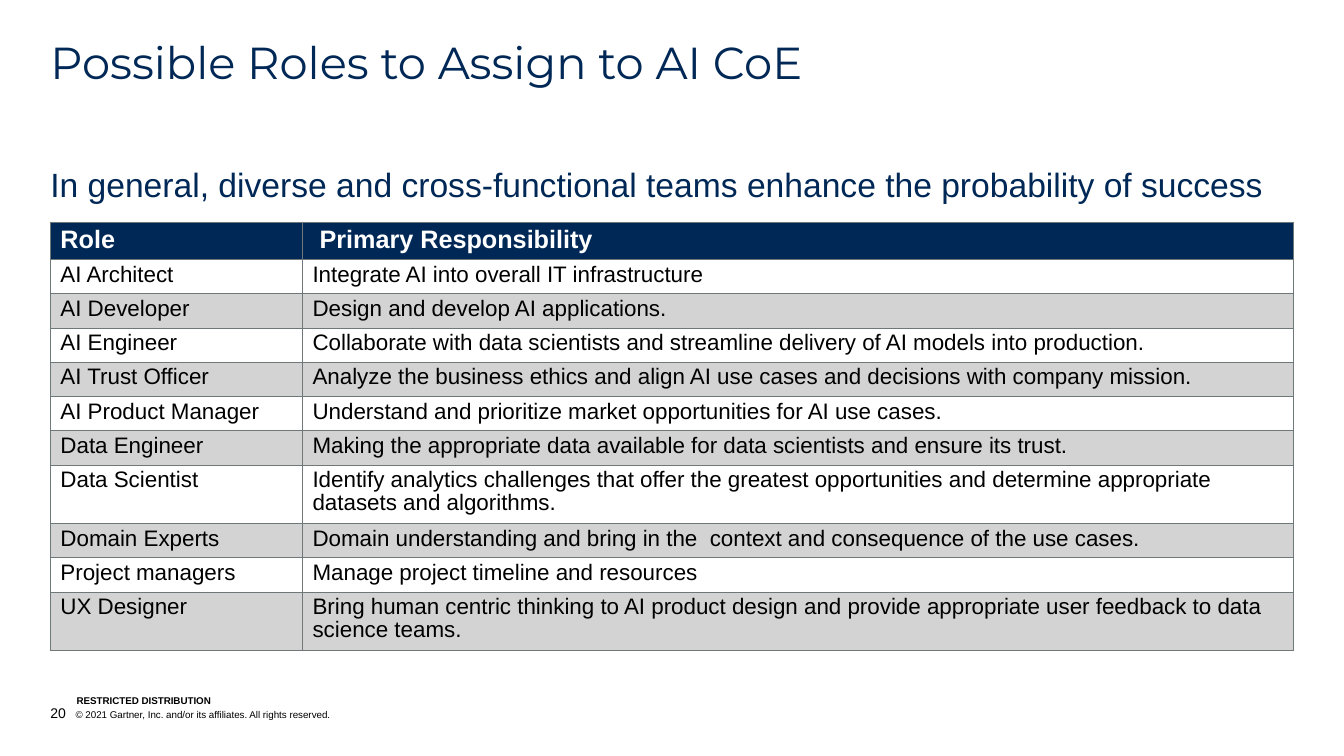
from lxml import etree
from pptx import Presentation
from pptx import util as u
from pptx.dml.color import RGBColor
from pptx.enum import text
from pptx.oxml import ns

NAVY, BLACK, WHITE, GREY, RULE = "002856", "000000", "FFFFFF", "D3D3D3", "6F7878"
LEFT, WIDTH = 0.5, 12.33


def rgb(value):
    return RGBColor.from_string(value)


def write(tf, words, size, color=BLACK, font="Arial", bold=False, spacing=None,
          anchor=text.MSO_ANCHOR.TOP, margins=(0, 0, 0, 0)):
    """Append a formatted run to the first paragraph of a text frame."""
    tf.word_wrap = True
    tf.vertical_anchor = anchor
    tf.margin_left, tf.margin_top, tf.margin_right, tf.margin_bottom = map(u.Inches, margins)
    p = tf.paragraphs[0]
    p.alignment = text.PP_ALIGN.LEFT
    p.line_spacing = spacing
    r = p.add_run()
    r.text = words
    r.font.size, r.font.name, r.font.bold = u.Pt(size), font, bold
    r.font.color.rgb = rgb(color)
    return p


prs = Presentation()
prs.slide_width, prs.slide_height = u.Inches(13.33), u.Inches(7.5)
s = prs.slides.add_slide(prs.slide_layouts[5])

# Title
title = s.shapes.title
title.left, title.top, title.width, title.height = map(u.Inches, (LEFT, 0.4, WIDTH, 0.49))
title.text_frame.auto_size = text.MSO_AUTO_SIZE.NONE
write(title.text_frame, "Possible Roles to Assign to AI CoE", 32, NAVY, "Montserrat", spacing=0.9)

# Lead sentence
lead = s.shapes.add_textbox(*map(u.Inches, (LEFT, 1.67, WIDTH, 0.45)))
write(lead.text_frame,
      "In general, diverse and cross-functional teams enhance the probability of success",
      24, NAVY, spacing=0.9)

# Roles table
roles = [
    ("Role", "Primary Responsibility"),
    ("AI Architect", "Integrate AI into overall IT infrastructure"),
    ("AI Developer", "Design and develop AI applications."),
    ("AI Engineer", "Collaborate with data scientists and streamline delivery of AI models "
                    "into production."),
    ("AI Trust Officer", "Analyze the business ethics and align AI use cases and decisions "
                         "with company mission."),
    ("AI Product Manager", "Understand and prioritize market opportunities for AI use cases."),
    ("Data Engineer", "Making the appropriate data available for data scientists and ensure "
                      "its trust."),
    ("Data Scientist", "Identify analytics challenges that offer the greatest opportunities "
                       "and determine appropriate datasets and algorithms."),
    ("Domain Experts", "Domain understanding and bring in the  context and consequence of "
                       "the use cases."),
    ("Project managers", "Manage project timeline and resources"),
    ("UX Designer", "Bring human centric thinking to AI product design and provide "
                    "appropriate user feedback to data science teams."),
]
HEADER_H, LINE_H, TWO_LINE_H = 0.35, 0.32, 0.54
frame = s.shapes.add_table(len(roles), 2, *map(u.Inches, (LEFT, 2.2, WIDTH, 4)))
table = frame.table
table.columns[0].width, table.columns[1].width = u.Inches(2.5), u.Inches(9.83)

for i, row in enumerate(roles):
    header = i == 0
    height = HEADER_H if header else TWO_LINE_H if len(row[1]) > 100 else LINE_H
    table.rows[i].height = u.Inches(height)
    for j, words in enumerate(row):
        cell = table.cell(i, j)
        cell.fill.solid()
        cell.fill.fore_color.rgb = rgb(NAVY if header else WHITE if i % 2 else GREY)
        write(cell.text_frame, words, 18 if header else 16, WHITE if header else BLACK,
              bold=header, spacing=0.9)
        cell.vertical_anchor = text.MSO_ANCHOR.MIDDLE if header else text.MSO_ANCHOR.TOP
        cell.margin_left = u.Inches(0.17 if header and j else 0.1)
        cell.margin_right = u.Inches(0.1)
        cell.margin_top = cell.margin_bottom = u.Inches(0.05)
        # Thin rule on all four sides, placed ahead of the fill
        tc_pr = cell._tc.get_or_add_tcPr()
        for k, side in enumerate(("lnL", "lnR", "lnT", "lnB")):
            ln = etree.Element(ns.qn(f"a:{side}"), w=str(u.Pt(0.25)))
            fill = etree.SubElement(ln, ns.qn("a:solidFill"))
            etree.SubElement(fill, ns.qn("a:srgbClr"), val=RULE)
            tc_pr.insert(k, ln)

# Footer: distribution notice, page number and copyright
notice = s.shapes.add_textbox(*map(u.Inches, (0.76, 6.89, 2.53, 0.12)))
write(notice.text_frame, "RESTRICTED DISTRIBUTION", 7, bold=True, anchor=text.MSO_ANCHOR.BOTTOM)

footer = s.shapes.add_textbox(*map(u.Inches, (LEFT, 6.99, 7.99, 0.17)))
write(footer.text_frame, "20", 10, anchor=text.MSO_ANCHOR.BOTTOM)
p = write(footer.text_frame, "\t© 2021 Gartner, Inc. and/or its affiliates. All rights reserved.",
          7, anchor=text.MSO_ANCHOR.BOTTOM)
p_pr = p._p.get_or_add_pPr()
p_pr.set("marL", str(u.Inches(0.25)))
p_pr.set("indent", str(-u.Inches(0.25)))

prs.save("out.pptx")
